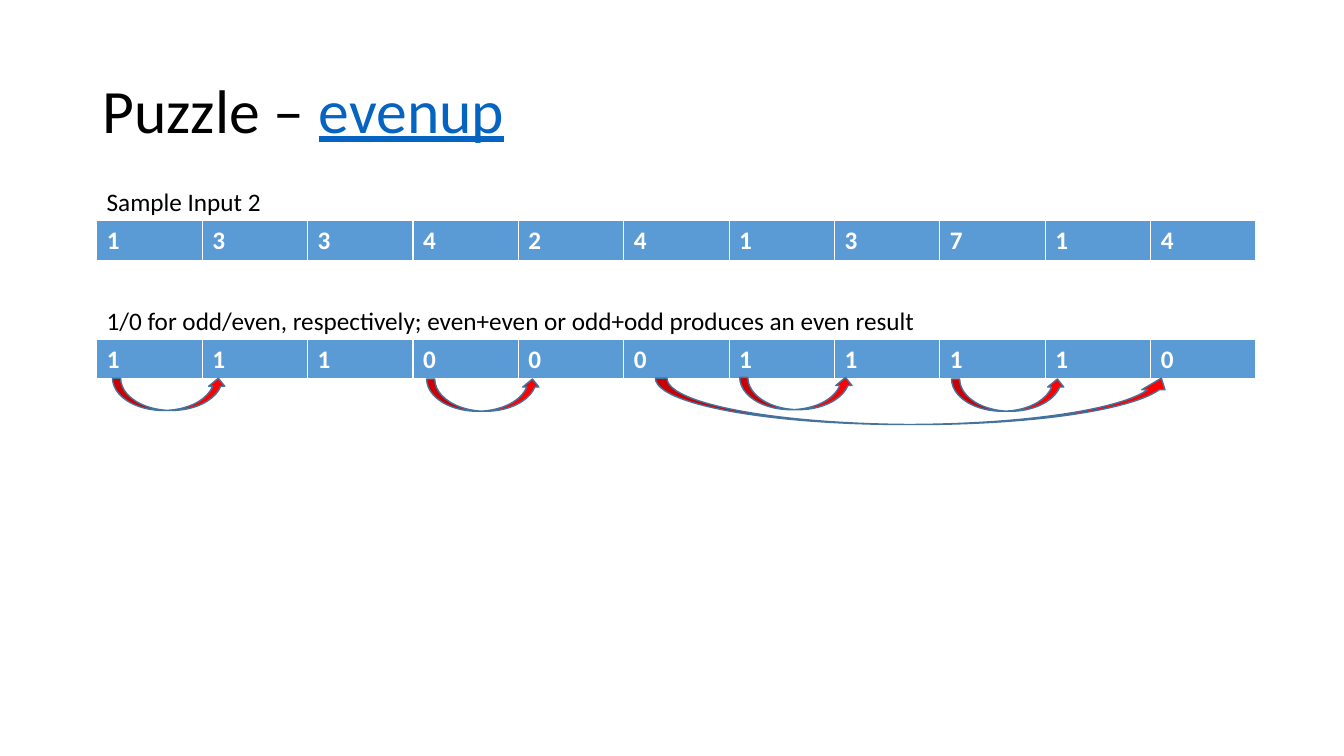
from typing import NamedTuple

from lxml import etree
from pptx import Presentation
from pptx.dml.color import RGBColor
from pptx.enum.shapes import MSO_SHAPE
from pptx.enum.text import MSO_ANCHOR
from pptx.oxml.ns import qn
from pptx.util import Inches, Pt

ARROW = MSO_SHAPE.CURVED_UP_ARROW
MID, TOP = MSO_ANCHOR.MIDDLE, MSO_ANCHOR.TOP
FONT = "Calibri"
COLS = 11
LEFT, COL, ROW = 0.96, 11.5 / COLS, 0.4
HEX = {"ink": "000000", "link": "0563C1", "cell": "5B9BD5",
       "white": "FFFFFF", "arrow": "FF0000", "edge": "43739E"}
EDGES = {"lnL": 1, "lnR": 1, "lnT": 1, "lnB": 3}


class Box(NamedTuple):
    col: float
    row: float
    wide: float
    high: float

    def place(self) -> tuple[int, ...]:
        return (Inches(LEFT + self.col * COL), Inches(self.row * ROW),
                Inches(self.wide * COL), Inches(self.high * ROW))


class Strip(NamedTuple):
    label: str
    digits: str
    row: float
    wide: float


STRIPS = [
    Strip("Sample Input 2", "13342413714", 4.5, 1.68),
    Strip("1/0 for odd/even, respectively; even+even or odd+odd "
          "produces an even result", "11100011110", 7.44, 7.89),
]
ARROWS = [
    Box(0.15, 9.38, 1.08, 0.8),
    Box(3.13, 9.4, 1.08, 0.8),
    Box(6.1, 9.36, 1.08, 0.8),
    Box(5.3, 9.38, 4.91, 1.15),
    Box(8.11, 9.4, 1.08, 0.8),
]


def color(name: str) -> RGBColor:
    return RGBColor.from_string(HEX[name])


def write(para, text: str, *, size: float = 18, ink: str = "ink",
          bold: bool = False, under: bool = False) -> None:
    run = para.add_run()
    run.text = text
    font = run.font
    font.name, font.size, font.bold = FONT, Pt(size), bold
    font.underline = under
    font.color.rgb = color(ink)


def frame(slide, box: Box, anchor=TOP):
    body = slide.shapes.add_textbox(*box.place()).text_frame
    body.word_wrap = True
    body.vertical_anchor = anchor
    return body.paragraphs[0]


def border(cell) -> None:
    props = cell._tc.get_or_add_tcPr()
    for spot, (tag, width) in enumerate(EDGES.items()):
        line = etree.Element(qn(f"a:{tag}"), w=str(Pt(width)))
        fill = etree.SubElement(line, qn("a:solidFill"))
        etree.SubElement(fill, qn("a:srgbClr"), val=HEX["white"])
        props.insert(spot, line)


def strip(slide, item: Strip) -> None:
    write(frame(slide, Box(0, item.row, item.wide, 1)), item.label)
    box = Box(0, item.row + 0.97, COLS, 1.02)
    table = slide.shapes.add_table(1, COLS, *box.place()).table
    for cell, digit in zip(table.iter_cells(), item.digits):
        cell.fill.solid()
        cell.fill.fore_color.rgb = color("cell")
        border(cell)
        write(cell.text_frame.paragraphs[0], digit, ink="white", bold=True)


def arrow(slide, box: Box) -> None:
    shape = slide.shapes.add_shape(ARROW, *box.place())
    shape.shadow.inherit = False
    shape.fill.solid()
    shape.fill.fore_color.rgb = color("arrow")
    shape.line.color.rgb = color("edge")
    shape.line.width = Pt(1)


def main() -> None:
    deck = Presentation()
    deck.slide_width, deck.slide_height = Inches(13.33), Inches(7.5)
    slide = deck.slides.add_slide(deck.slide_layouts[6])
    title = frame(slide, Box(-0.04, 1, COLS, 3.62), MID)
    title.line_spacing = 0.9
    write(title, "Puzzle – ", size=44)
    write(title, "evenup", size=44, ink="link", under=True)
    for item in STRIPS:
        strip(slide, item)
    for box in ARROWS:
        arrow(slide, box)
    deck.save("out.pptx")


main()
